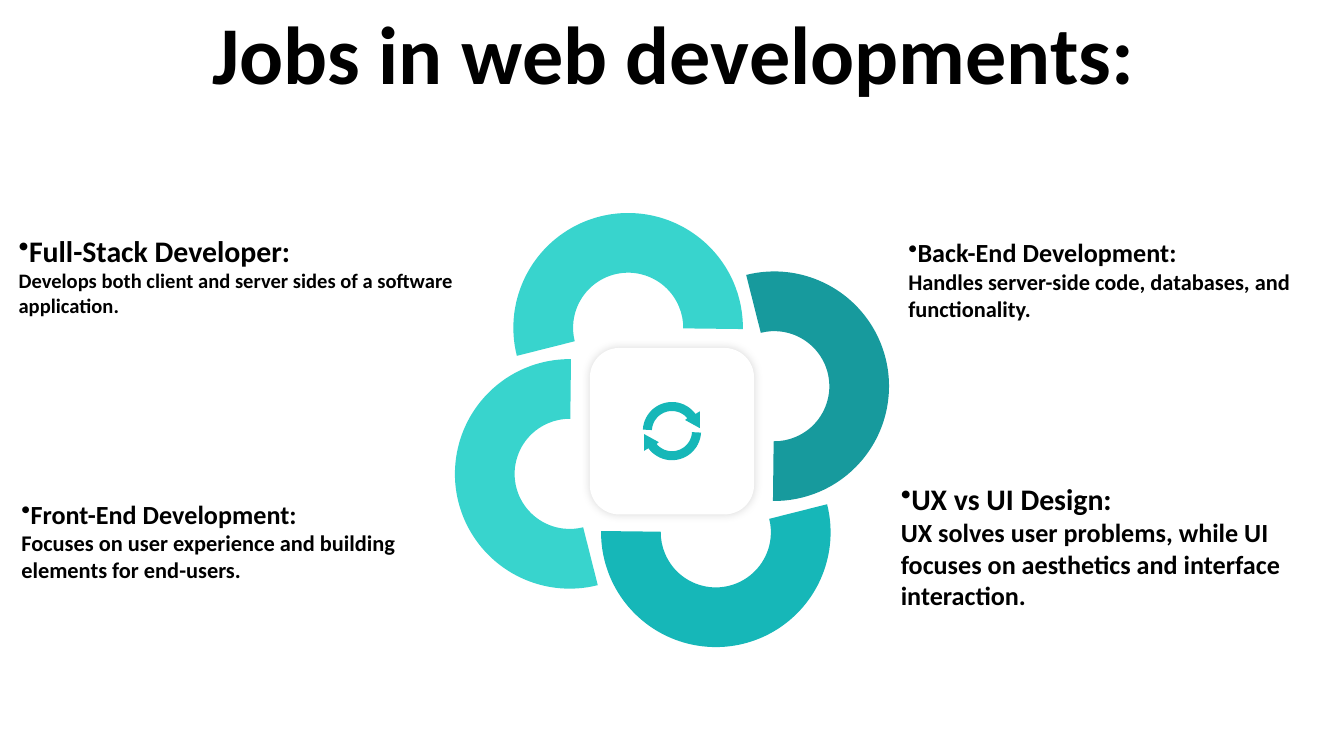
from dataclasses import dataclass
from math import cos, radians, sin

from lxml import etree
from pptx import Presentation
from pptx.dml.color import RGBColor
from pptx.enum.shapes import MSO_SHAPE
from pptx.enum.text import MSO_ANCHOR, PP_ALIGN
from pptx.oxml.ns import qn
from pptx.util import Pt

BLOCK_ARC, ROUND_RECT = MSO_SHAPE.BLOCK_ARC, MSO_SHAPE.ROUNDED_RECTANGLE
MIDDLE, CENTER = MSO_ANCHOR.MIDDLE, PP_ALIGN.CENTER


@dataclass(frozen=True)
class Theme:
    """Colours, font and title size of the slide."""
    font: str = "Calibri"
    ink: str = "000000"
    paper: str = "FFFFFF"
    teal: str = "16B7B8"
    dark_teal: str = "179A9D"
    light_teal: str = "38D4CD"
    title_size: int = 44


THEME = Theme()

JOBS = [
    ((2.9, 121, 268, 53), "Full-Stack Developer:", 16,
     "Develops both client and server sides of a software application.", 11),
    ((4.3, 263.3, 234, 54), "Front-End Development:", 14,
     "Focuses on user experience and building elements for end-users.", 12),
    ((479.5, 123.3, 227, 54), "Back-End Development:", 14,
     "Handles server-side code, databases, and functionality.", 12),
    ((475.5, 254, 244, 78), "UX vs UI Design:", 16,
     "UX solves user problems, while UI focuses on aesthetics and "
     "interface interaction.", 14),
]


def paint(sp, color):
    """Give a shape a flat fill with no line or shadow."""
    sp.shadow.inherit = False
    sp.fill.solid()
    sp.fill.fore_color.rgb = RGBColor.from_string(color)
    sp.line.fill.background()


def add_text_run(p, text, size):
    """Append a bold run to a paragraph."""
    r = p.add_run()
    r.text = text
    r.font.name, r.font.size, r.font.bold = THEME.font, Pt(size), True
    r.font.color.rgb = RGBColor.from_string(THEME.ink)


def add_text_frame(s, box):
    """Add a wrapping text box and return its frame."""
    tf = s.shapes.add_textbox(*map(Pt, box)).text_frame
    tf.word_wrap = True
    return tf


def add_title(s, box, text):
    """Place the centred slide title."""
    tf = add_text_frame(s, box)
    tf.vertical_anchor = MIDDLE
    p = tf.paragraphs[0]
    p.alignment = CENTER
    add_text_run(p, text, THEME.title_size)


def add_job(s, box, name, name_size, duty, duty_size):
    """Place a bulleted job name above its description."""
    tf = add_text_frame(s, box)
    p = tf.paragraphs[0]
    etree.SubElement(p._p.get_or_add_pPr(), qn("a:buChar"), char="•")
    add_text_run(p, name, name_size)
    add_text_run(tf.add_paragraph(), duty, duty_size)


def add_glow(sp, blur, alpha):
    """Add a soft shadow spreading evenly around a shape."""
    effects = sp._element.spPr.find(qn("a:effectLst"))
    shadow = etree.SubElement(effects, qn("a:outerShdw"), blurRad=str(Pt(blur)),
                              dist="0", dir="0", algn="ctr", rotWithShape="0")
    color = etree.SubElement(shadow, qn("a:srgbClr"), val=THEME.ink)
    etree.SubElement(color, qn("a:alpha"), val=str(alpha * 1000))


def add_petals(s, box):
    """Place four interlocking arcs, each a quarter turn from the last."""
    x, y, w, h = box
    size = w * 0.53
    dx, dy = w * 0.236, -h * 0.101
    group = s.shapes.add_group_shape()
    colors = (THEME.dark_teal, THEME.teal, THEME.light_teal, THEME.light_teal)
    for i, color in enumerate(colors):
        left, top = x + (w - size) / 2 + dx, y + (h - size) / 2 + dy
        sp = group.shapes.add_shape(BLOCK_ARC, *map(Pt, (left, top, size, size)))
        sp.rotation = 67 + 90 * i
        for k, value in enumerate((113.3, 14.19, 0.26)):
            sp.adjustments[k] = value
        paint(sp, color)
        dx, dy = -dy, dx


def add_hub(s, box):
    """Place the rounded white card."""
    sp = s.shapes.add_shape(ROUND_RECT, *map(Pt, box))
    sp.adjustments[0] = 0.18
    paint(sp, THEME.paper)
    add_glow(sp, 5, 14)


def arc_points(radius, start, end, steps=24):
    """Return points along an arc about the origin, angles in degrees."""
    angles = [radians(start + (end - start) * i / steps) for i in range(steps + 1)]
    return [(radius * cos(a), radius * sin(a)) for a in angles]


def add_refresh_icon(s, box):
    """Place two circling arrows, the second a half turn of the first."""
    x, y, w, h = box
    cx, cy, radius = x + w / 2, y + h / 2, w / 2
    head = [(0.96, -0.68), (0.96, -0.1), (0.45, -0.38)]
    arrow = arc_points(1, 183, 324) + head + arc_points(0.69, 320, 183)
    contours = [[(Pt(cx + turn * radius * px), Pt(cy + turn * radius * py))
                 for px, py in arrow] for turn in (1, -1)]
    fb = s.shapes.build_freeform(*contours[0][0])
    fb.add_line_segments(contours[0][1:])
    fb.move_to(*contours[1][0])
    fb.add_line_segments(contours[1][1:])
    paint(fb.convert_to_shape(), THEME.teal)


def add_cycle(s, box):
    """Place the petals with the card and icon at their centre."""
    x, y, w, h = box
    cx, cy = x + w / 2, y + h / 2 + 0.6
    add_petals(s, box)
    add_hub(s, (cx - 44, cy - 44.6, 88, 89.2))
    add_refresh_icon(s, (cx - 15.6, cy - 15.6, 31.2, 31.2))


def main():
    """Build and save the slide."""
    prs = Presentation()
    prs.slide_width, prs.slide_height = Pt(720), Pt(405)
    s = prs.slides.add_slide(prs.slide_layouts[6])
    add_title(s, (19.4, 6.4, 683.3, 42.5), "Jobs in web developments:")
    add_cycle(s, (244, 114.4, 232, 232))
    for job in JOBS:
        add_job(s, *job)
    prs.save("out.pptx")


if __name__ == "__main__":
    main()
